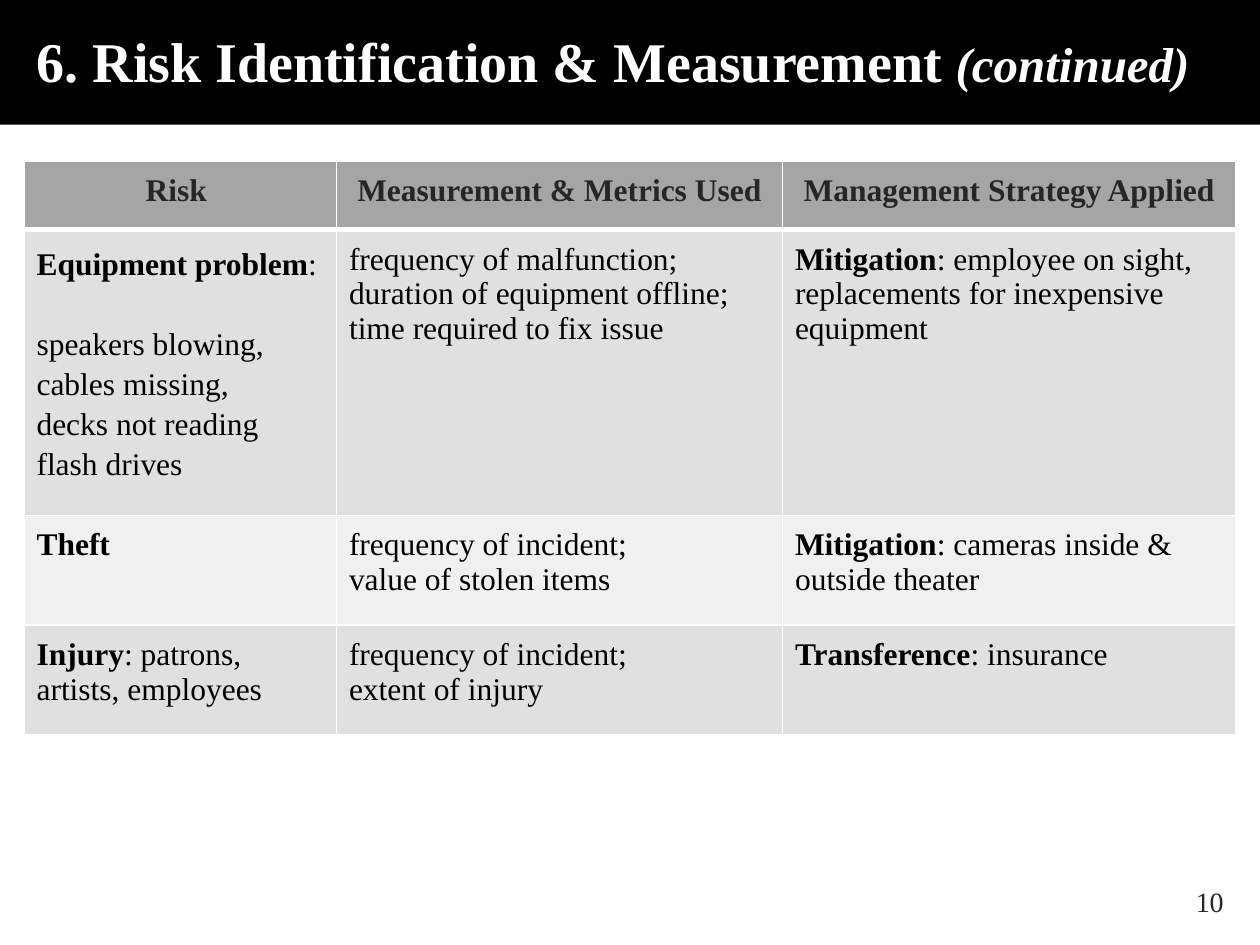
from lxml import etree
from pptx import Presentation
from pptx.dml.color import RGBColor
from pptx.enum import shapes, text
from pptx.oxml import ns
from pptx.util import Inches, Pt

COLORS = {
    "black": "000000", "white": "FFFFFF", "ink": "262626",
    "header": "A5A5A5", "dark band": "E0E0E0", "light band": "F0F0F0",
}
FONT = "Times New Roman"


def add_text(paragraph, parts, size, color):
    """Fill a paragraph with (text, bold) parts; newlines become line breaks."""
    paragraph.font.name = FONT
    paragraph.font.size = Pt(size)
    paragraph.font.color.rgb = RGBColor.from_string(COLORS[color])
    for part, bold in parts:
        for index, line in enumerate(part.split("\n")):
            if index:
                # A break needs its own font to keep the line height
                paragraph.add_line_break()
                break_font = etree.SubElement(
                    paragraph._p[-1], ns.qn("a:rPr"), sz=str(size * 100))
                etree.SubElement(break_font, ns.qn("a:latin"), typeface=FONT)
            run = paragraph.add_run()
            run.text = line
            run.font.bold = bold


def set_borders(cell, widths):
    """Draw white cell borders, given widths in points by side (L, R, T, B)."""
    properties = cell._tc.get_or_add_tcPr()
    for index, (side, width) in enumerate(widths.items()):
        line = etree.Element(ns.qn(f"a:ln{side}"), w=str(Pt(width)))
        fill = etree.SubElement(line, ns.qn("a:solidFill"))
        etree.SubElement(fill, ns.qn("a:srgbClr"), val=COLORS["white"])
        properties.insert(index, line)


presentation = Presentation()
presentation.slide_width, presentation.slide_height = Inches(10), Inches(7.5)
slide = presentation.slides.add_slide(presentation.slide_layouts[5])

# Title band, moved behind the title
band = slide.shapes.add_shape(
    shapes.MSO_SHAPE.RECTANGLE, 0, 0, Inches(10), Inches(0.99))
band.shadow.inherit = False
band.fill.solid()
band.fill.fore_color.rgb = RGBColor.from_string(COLORS["black"])
band.line.fill.background()
slide.shapes._spTree.insert(2, band._element)

# Title
title = slide.shapes.title
title.left, title.top = Inches(0.19), Inches(0.12)
title.width, title.height = Inches(9.62), Inches(0.78)
title.text_frame.vertical_anchor = text.MSO_ANCHOR.MIDDLE
title.text_frame.auto_size = text.MSO_AUTO_SIZE.NONE
paragraph = title.text_frame.paragraphs[0]
paragraph.alignment = text.PP_ALIGN.LEFT
paragraph.line_spacing = 0.9
add_text(paragraph, [("6. Risk Identification & Measurement", True),
                     (" (continued)", True)], 32, "white")
continued = paragraph.runs[-1]
continued.font.size = Pt(28)
continued.font.italic = True

# Page number
number = slide.shapes.add_textbox(
    Inches(7.56), Inches(6.95), Inches(2.25), Inches(0.4))
number.text_frame.word_wrap = True
number.text_frame.vertical_anchor = text.MSO_ANCHOR.MIDDLE
paragraph = number.text_frame.paragraphs[0]
paragraph.alignment = text.PP_ALIGN.RIGHT
add_text(paragraph, [("10", False)], 16, "ink")

# Risk table: each cell is a list of paragraphs, each a list of (text, bold)
rows = [
    [[[("Risk ", True)]],
     [[("Measurement & Metrics Used", True)]],
     [[("Management Strategy Applied", True)]]],
    [[[("Equipment problem", True),
       (": \nspeakers blowing, \ncables missing, \ndecks not reading \nflash drives", False)]],
     [[("frequency of malfunction; \nduration of equipment offline; \n"
        "time required to fix issue", False)]],
     [[("Mitigation", True),
       (": employee on sight, \nreplacements for inexpensive \nequipment", False)]]],
    [[[("Theft", True)]],
     [[("frequency of incident; \nvalue of stolen items", False)]],
     [[("Mitigation", True), (": cameras inside &", False)],
      [("outside theater", False)]]],
    [[[("Injury", True), (": patrons, \nartists, employees", False)]],
     [[("frequency of incident; \nextent of injury", False)]],
     [[("Transference", True), (": insurance", False)]]],
]
row_fills = ["header", "dark band", "light band", "dark band"]
table = slide.shapes.add_table(
    4, 3, Inches(0.19), Inches(1.28), Inches(9.62), Inches(4.31)).table
for column, width in zip(table.columns, (2.48, 3.54, 3.6)):
    column.width = Inches(width)
for row, height in zip(table.rows, (0.54, 2.03, 0.87, 0.87)):
    row.height = Inches(height)

for row_index, row in enumerate(rows):
    is_header = row_index == 0
    for column_index, paragraphs in enumerate(row):
        cell = table.cell(row_index, column_index)
        cell.margin_left = cell.margin_right = Inches(0.1)
        cell.margin_top = cell.margin_bottom = Inches(0.1)
        cell.fill.solid()
        cell.fill.fore_color.rgb = RGBColor.from_string(COLORS[row_fills[row_index]])
        set_borders(cell, {"L": 1, "R": 1, "T": 3 if row_index == 1 else 1,
                           "B": 3 if is_header else 1})
        for index, parts in enumerate(paragraphs):
            frame = cell.text_frame
            paragraph = frame.add_paragraph() if index else frame.paragraphs[0]
            if is_header:
                paragraph.alignment = text.PP_ALIGN.CENTER
            add_text(paragraph, parts, 18, "ink" if is_header else "black")

# The equipment cell is set with wider lines
table.cell(1, 0).text_frame.paragraphs[0].line_spacing = 1.15

presentation.save("out.pptx")
